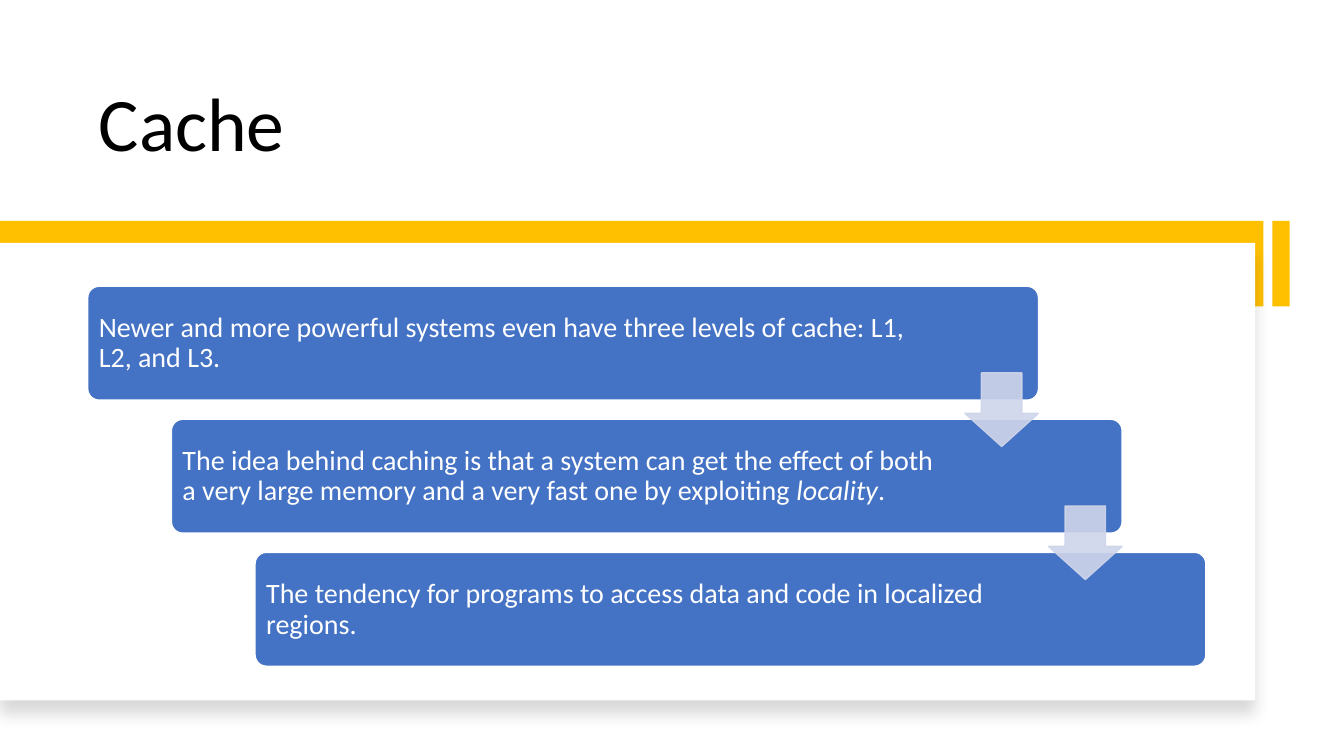
from lxml import etree
from pptx import Presentation
from pptx.dml.color import RGBColor
from pptx.enum import shapes, text
from pptx.oxml import ns
from pptx.util import Inches, Pt

COLORS = {
    "black": "000000",
    "white": "FFFFFF",
    "gold": "FFC000",
    "blue": "4472C4",
    "pale": "CFD5EA",
}
FONT = "Calibri"
STEP_WIDTH, STEP_HEIGHT = 9.43, 1.13
STEP_LEFT, STEP_TOP = 0.87, 2.84
SHIFT_X, SHIFT_Y = 0.83, 1.32
ARROW_SIZE, ARROW_DROP = 0.73, 0.86

# Each step: text width, then (wording, italic) spans
STEPS = [
    (8.21, [("Newer and more powerful systems even have three levels of cache: "
             "L1, L2, and L3.", False)]),
    (7.8, [("The idea behind caching is that a system can get the effect of both "
            "a very large memory and a very fast one by exploiting ", False),
           ("locality", True), (".", False)]),
    (7.8, [("The tendency for programs to access data and code in localized "
            "regions.", False)]),
]


def rgb(name):
    return RGBColor.from_string(COLORS[name])


def add_block(parent, kind, left, top, width, height, fill, line=None, adjust=()):
    block = parent.shapes.add_shape(
        kind, Inches(left), Inches(top), Inches(width), Inches(height))
    block.shadow.inherit = False
    block.fill.solid()
    block.fill.fore_color.rgb = rgb(fill)
    if line:
        block.line.color.rgb = rgb(line)
        block.line.width = Pt(1)
    else:
        block.line.fill.background()
    for index, value in enumerate(adjust):
        block.adjustments[index] = value
    return block


def set_opacity(element, percent):
    """Give every colour inside the element the same opacity."""
    for color in element.iter(ns.qn("a:srgbClr")):
        etree.SubElement(color, ns.qn("a:alpha"), val=str(percent * 1000))


def add_soft_shadow(block):
    """Cast a faint shadow straight down."""
    effects = block.element.spPr.find(ns.qn("a:effectLst"))
    shadow = etree.SubElement(
        effects, ns.qn("a:outerShdw"), blurRad=str(Pt(11)), dist=str(Pt(10)),
        dir=str(90 * 60000), algn="t", rotWithShape="0")
    etree.SubElement(shadow, ns.qn("a:srgbClr"), val=COLORS["black"])
    set_opacity(shadow, 15)


def write(para, wording, size, color, italic=False):
    span = para.add_run()
    span.text = wording
    span.font.name = FONT
    span.font.size = Pt(size)
    span.font.italic = italic
    span.font.color.rgb = rgb(color)


def fill_title(title, wording):
    title.left, title.top = Inches(0.88), Inches(0.42)
    title.width, title.height = Inches(10.1), Inches(1.3)
    frame = title.text_frame
    frame.auto_size = text.MSO_AUTO_SIZE.NONE
    frame.vertical_anchor = text.MSO_ANCHOR.BOTTOM
    para = frame.paragraphs[0]
    para.alignment = text.PP_ALIGN.LEFT
    para.line_spacing = 0.9
    write(para, wording, 54, "black")


def add_frame(page):
    """Draw the gold band with its end bar, and the white panel over it."""
    rectangle = shapes.MSO_SHAPE.RECTANGLE
    band = page.shapes.add_group_shape()
    end_bar = add_block(band, rectangle, 12.28, 2.53, 0.85, 0.17, "gold")
    end_bar.rotation = 90
    add_block(band, rectangle, 0, 2.19, 12.53, 0.85, "gold")
    panel = add_block(page, rectangle, 0, 2.41, 12.45, 4.54, "white")
    add_soft_shadow(panel)


def add_step(group, left, top, text_width, spans):
    add_block(group, shapes.MSO_SHAPE.ROUNDED_RECTANGLE, left, top,
              STEP_WIDTH, STEP_HEIGHT, "blue", line="white", adjust=[0.1])
    box = group.shapes.add_textbox(
        Inches(left + 0.03), Inches(top + 0.04), Inches(text_width), Inches(1.06))
    frame = box.text_frame
    frame.word_wrap = True
    frame.vertical_anchor = text.MSO_ANCHOR.MIDDLE
    frame.margin_left = frame.margin_right = Inches(0.08)
    frame.margin_top = frame.margin_bottom = Inches(0.08)
    para = frame.paragraphs[0]
    para.line_spacing = 0.9
    for wording, italic in spans:
        write(para, wording, 20, "white", italic)


def add_staircase(page):
    group = page.shapes.add_group_shape()
    corners = [(STEP_LEFT + i * SHIFT_X, STEP_TOP + i * SHIFT_Y)
               for i in range(len(STEPS))]
    for (left, top), (text_width, spans) in zip(corners, STEPS):
        add_step(group, left, top, text_width, spans)
    for left, top in corners[:-1]:
        arrow = add_block(
            group, shapes.MSO_SHAPE.DOWN_ARROW, left + STEP_WIDTH - ARROW_SIZE,
            top + ARROW_DROP, ARROW_SIZE, ARROW_SIZE, "pale", line="pale",
            adjust=[0.55, 0.45])
        set_opacity(arrow.element.spPr, 90)


def main():
    deck = Presentation()
    deck.slide_width, deck.slide_height = Inches(13.33), Inches(7.5)
    page = deck.slides.add_slide(deck.slide_layouts.get_by_name("Title Only"))
    fill_title(page.shapes.title, "Cache")
    add_frame(page)
    add_staircase(page)
    deck.save("out.pptx")


if __name__ == "__main__":
    main()
